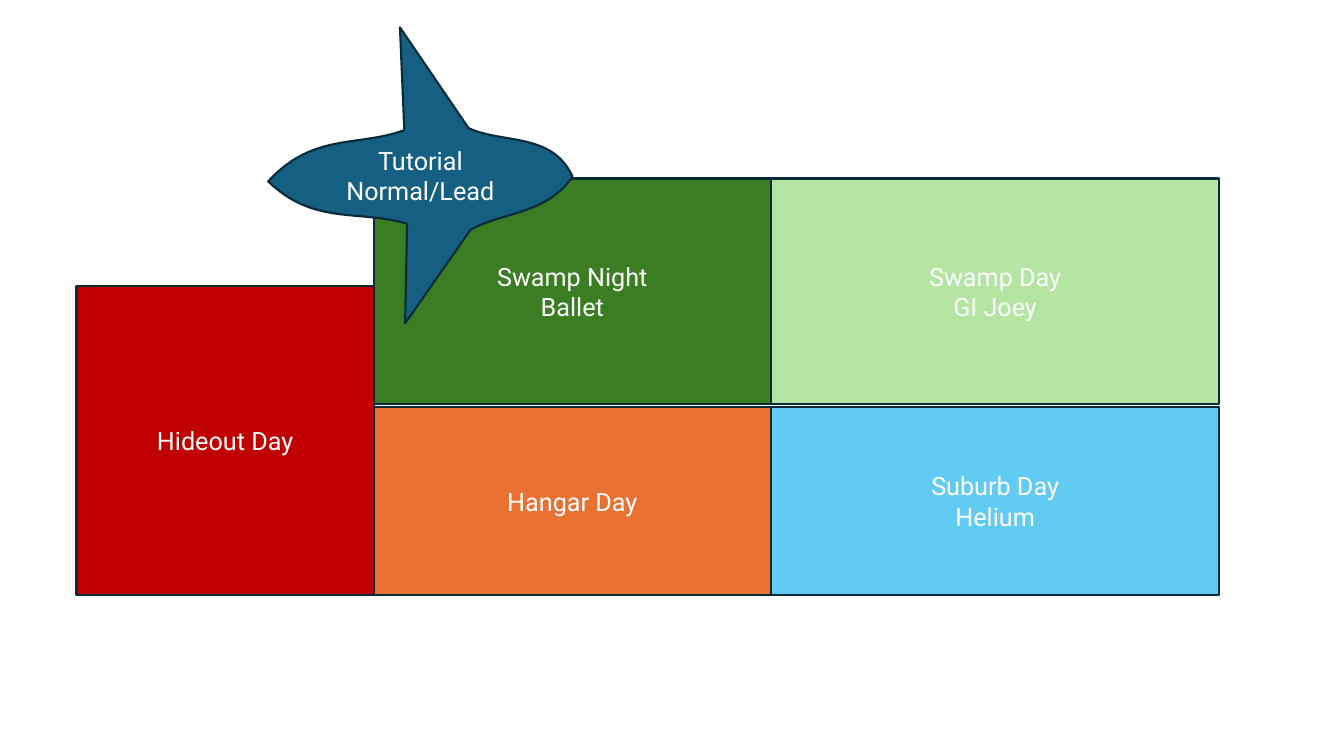
from pptx import Presentation
from pptx.dml.color import RGBColor
from pptx.enum.shapes import MSO_SHAPE
from pptx.enum.text import MSO_ANCHOR, PP_ALIGN
from pptx.util import Cm, Pt

WHITE = RGBColor(0xFF, 0xFF, 0xFF)
OUTLINE = RGBColor(0x09, 0x2A, 0x39)
LIGHT_GREEN = RGBColor(0xB4, 0xE5, 0xA2)
DARK_GREEN = RGBColor(0x3B, 0x7D, 0x23)
TEAL = RGBColor(0x15, 0x60, 0x82)
SKY = RGBColor(0x61, 0xCB, 0xF4)
RED = RGBColor(0xC0, 0x00, 0x00)
ORANGE = RGBColor(0xE9, 0x71, 0x32)

# Edges of the map areas, in cm
LEFT, MIDDLE, SPLIT, RIGHT = 1.93, 9.42, 19.43, 30.73
HIDEOUT_TOP = 7.21
SWAMP_TOP, SWAMP_BOTTOM = 4.5, 10.19
LOWER_TOP, BOTTOM = 10.26, 14.99

# Star outline in cm: one point is a straight edge, three are a Bezier curve
STAR_START = (10.08, 0.69)
STAR_EDGES = [
    [(11.81, 3.23)],
    [(12.67, 3.63), (13.92, 3.33), (14.43, 4.45)],
    [(13.77, 5.41), (12.7, 5.33), (11.86, 5.79)],
    [(10.21, 8.15)],
    [(10.26, 5.64)],
    [(9.09, 5.28), (7.9, 5.69), (6.76, 4.57)],
    [(7.9, 3.33), (9.04, 3.71), (10.19, 3.28)],
]


def bezier(points, steps=24):
    """Return points along a cubic curve, without its start."""
    curve = []
    for i in range(1, steps + 1):
        t = i / steps
        weights = ((1 - t) ** 3, 3 * t * (1 - t) ** 2, 3 * t * t * (1 - t), t ** 3)
        curve.append(tuple(sum(w * c for w, c in zip(weights, axis))
                           for axis in zip(*points)))
    return curve


class MapSlide:
    font, size, line_width = "Roboto", Pt(18), Pt(1.5)

    def __init__(self, prs):
        self.s = prs.slides.add_slide(prs.slide_layouts[6])

    def style(self, sp, text, color):
        sp.shadow.inherit = False
        sp.fill.solid()
        sp.fill.fore_color.rgb = color
        sp.line.color.rgb = OUTLINE
        sp.line.width = self.line_width
        tf = sp.text_frame
        tf.text = text
        tf.word_wrap = True
        tf.vertical_anchor = MSO_ANCHOR.MIDDLE
        for p in tf.paragraphs:
            p.alignment = PP_ALIGN.CENTER
            for r in p.runs:
                r.font.name = self.font
                r.font.size = self.size
                r.font.color.rgb = WHITE

    def area(self, text, color, left, top, right, bottom):
        sp = self.s.shapes.add_shape(MSO_SHAPE.RECTANGLE, Cm(left), Cm(top),
                                     Cm(right - left), Cm(bottom - top))
        self.style(sp, text, color)

    def star(self, text, color, start, edges):
        outline = [start]
        for edge in edges:
            outline += bezier([outline[-1]] + edge) if len(edge) == 3 else edge
        points = [(Cm(x), Cm(y)) for x, y in outline]
        builder = self.s.shapes.build_freeform(*points[0])
        builder.add_line_segments(points[1:], close=True)
        self.style(builder.convert_to_shape(), text, color)


def main():
    prs = Presentation()
    prs.slide_width, prs.slide_height = Cm(33.87), Cm(19.05)
    level_map = MapSlide(prs)
    level_map.area("Swamp Day\nGI Joey", LIGHT_GREEN, SPLIT, SWAMP_TOP, RIGHT, SWAMP_BOTTOM)
    level_map.area("Swamp Night\nBallet", DARK_GREEN, MIDDLE, SWAMP_TOP, SPLIT, SWAMP_BOTTOM)
    level_map.star("Tutorial\nNormal/Lead", TEAL, STAR_START, STAR_EDGES)
    level_map.area("Suburb Day\nHelium", SKY, SPLIT, LOWER_TOP, RIGHT, BOTTOM)
    level_map.area("Hideout Day", RED, LEFT, HIDEOUT_TOP, MIDDLE, BOTTOM)
    level_map.area("Hangar Day", ORANGE, MIDDLE, LOWER_TOP, SPLIT, BOTTOM)
    prs.save("out.pptx")


if __name__ == "__main__":
    main()
